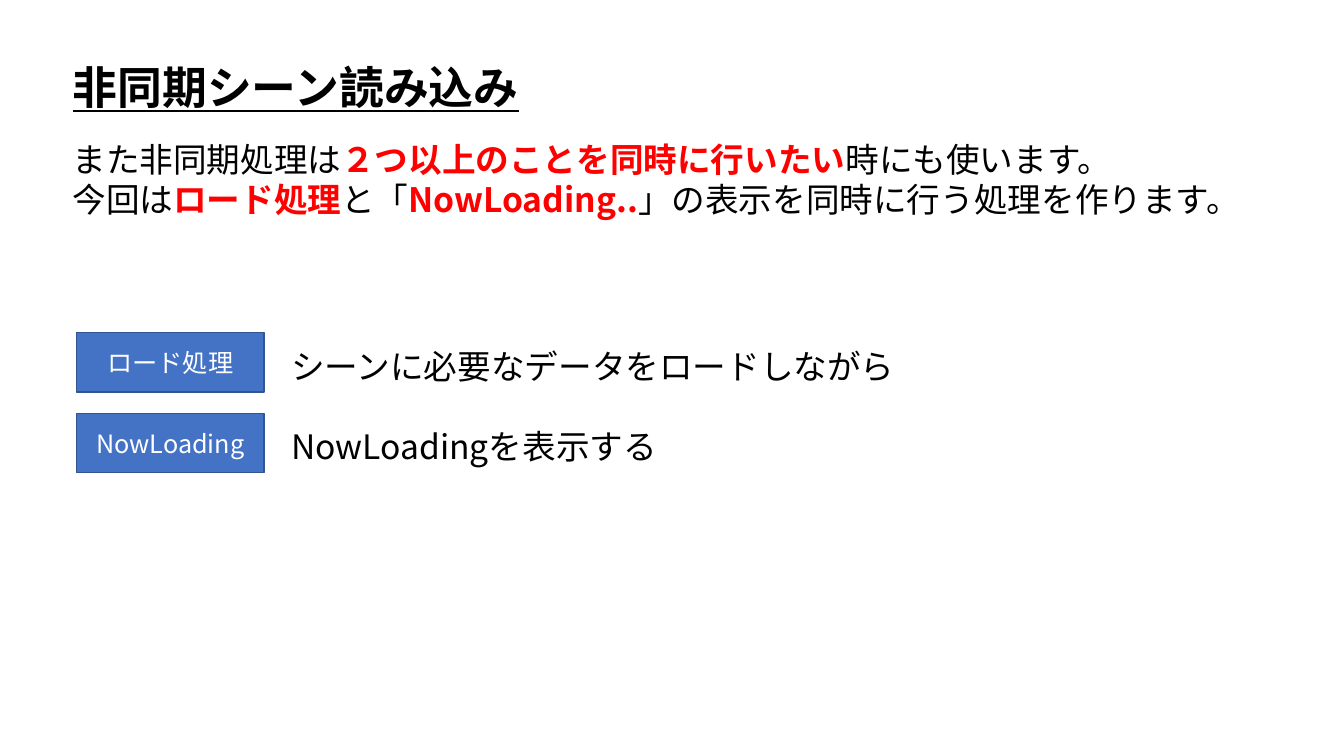
from pptx import Presentation
from pptx.dml.color import RGBColor
from pptx.enum.shapes import MSO_SHAPE
from pptx.enum.text import MSO_ANCHOR, MSO_AUTO_SIZE, PP_ALIGN
from pptx.util import Inches, Pt
from lxml.etree import SubElement
from pptx.oxml.ns import qn

FONT = "Noto Sans CJK JP"
BLACK, RED, WHITE = "000000", "FF0000", "FFFFFF"
BLUE, DARK_BLUE = "4472C4", "325491"

TITLE = "非同期シーン読み込み"
# Each line is a list of (text, emphasised) pieces
INTRO = [
    [("また非同期処理は", False), ("２つ以上のことを同時に行いたい", True),
     ("時にも使います。", False)],
    [("今回は", False), ("ロード処理", True), ("と「", False),
     ("NowLoading..", True), ("」の表示を同時に行う処理を作ります。", False)],
]
TASKS = [
    ("ロード処理", "シーンに必要なデータをロードしながら"),
    ("NowLoading", "NowLoadingを表示する"),
]

LEFT = 0.62
BOX_LEFT, BOX_W, BOX_H = 0.76, 1.86, 0.59
TASK_TOP, TASK_PITCH = 3.3, 0.8
NOTE_LEFT, NOTE_DROP = 2.79, 0.08


def rgb(value):
    return RGBColor.from_string(value)


def add_run(p, text, size=24, color=BLACK, bold=False, underline=False):
    r = p.add_run()
    r.text = text
    r.font.size, r.font.bold, r.font.underline = Pt(size), bold, underline
    r.font.color.rgb = rgb(color)
    r.font.name = FONT
    SubElement(r.font._element, qn("a:ea")).set("typeface", FONT)


def place(sp, left, top, width, height):
    sp.left, sp.top = Inches(left), Inches(top)
    sp.width, sp.height = Inches(width), Inches(height)


def add_text(s, lines, left, top, width, height):
    """Add an unwrapped text box from lines of (text, emphasised) pieces."""
    sp = s.shapes.add_textbox(*map(Inches, (left, top, width, height)))
    tf = sp.text_frame
    tf.word_wrap = False
    for i, pieces in enumerate(lines):
        p = tf.add_paragraph() if i else tf.paragraphs[0]
        for text, strong in pieces:
            add_run(p, text, color=RED if strong else BLACK, bold=strong)


def add_task_box(s, text, top):
    sp = s.shapes.add_shape(MSO_SHAPE.RECTANGLE, *map(
        Inches, (BOX_LEFT, top, BOX_W, BOX_H)))
    sp.shadow.inherit = False
    sp.fill.solid()
    sp.fill.fore_color.rgb = rgb(BLUE)
    sp.line.color.rgb = rgb(DARK_BLUE)
    sp.line.width = Pt(1)
    sp.text_frame.vertical_anchor = MSO_ANCHOR.MIDDLE
    p = sp.text_frame.paragraphs[0]
    p.alignment = PP_ALIGN.CENTER
    add_run(p, text, size=18, color=WHITE)


def main():
    prs = Presentation()
    prs.slide_width, prs.slide_height = Inches(13.33), Inches(7.5)
    s = prs.slides.add_slide(prs.slide_layouts[5])

    title = s.shapes.title
    place(title, LEFT, 0.54, 4.69, 0.64)
    tf = title.text_frame
    tf.word_wrap = False
    tf.auto_size = MSO_AUTO_SIZE.NONE
    tf.vertical_anchor = MSO_ANCHOR.TOP
    tf.paragraphs[0].alignment = PP_ALIGN.LEFT
    add_run(tf.paragraphs[0], TITLE, size=32, bold=True, underline=True)

    add_text(s, INTRO, LEFT, 1.33, 11.88, 0.91)
    for i, (name, note) in enumerate(TASKS):
        top = TASK_TOP + i * TASK_PITCH
        add_task_box(s, name, top)
        add_text(s, [[(note, False)]], NOTE_LEFT, top + NOTE_DROP, 6.26 if i == 0 else 3.94, 0.5)

    prs.save("out.pptx")


if __name__ == "__main__":
    main()
